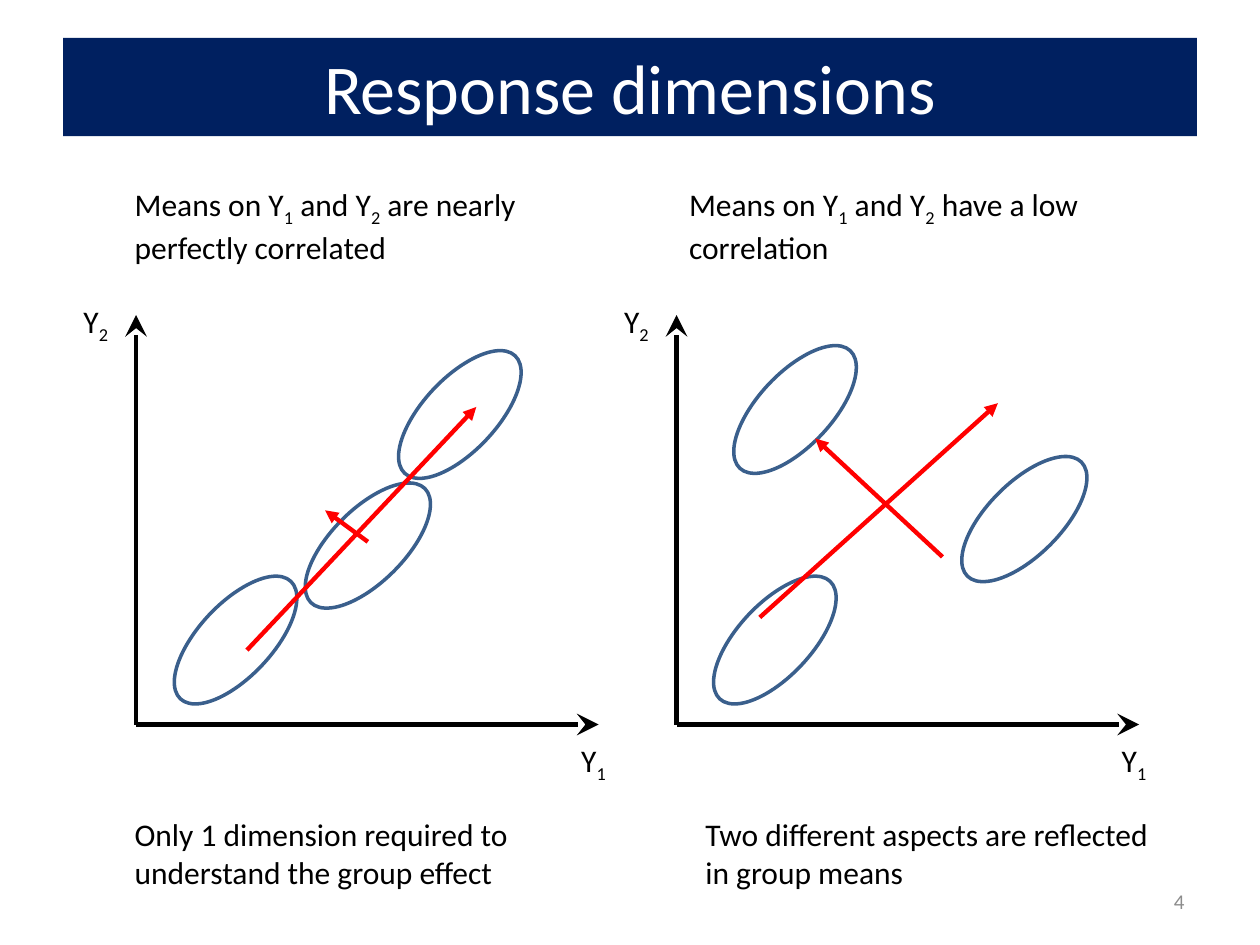
from dataclasses import dataclass

from lxml import etree
from pptx import Presentation
from pptx import util as u
from pptx.dml.color import RGBColor
from pptx.enum import shapes, text
from pptx.oxml.ns import qn

SCALE = 9144  # EMU per px, 100 px to the inch
FONT = "Calibri"
BLACK, RED, WHITE = "000000", "FF0000", "FFFFFF"
NAVY, BLUE, GREY = "002060", "3A5F8C", "8C8C8C"
ELLIPSE_SIZE = (128, 58)
AXIS_ORIGIN = (108, 575)
AXIS_ENDS = ((108, 250), (475, 575))
LEFT, CENTER, RIGHT = text.PP_ALIGN.LEFT, text.PP_ALIGN.CENTER, text.PP_ALIGN.RIGHT


@dataclass
class Ellipse:
    left: int
    top: int
    rotation: float


@dataclass
class Arrow:
    start: tuple[int, int]
    end: tuple[int, int]


@dataclass
class Plot:
    shift: int
    ellipses: list[Ellipse]
    arrows: list[Arrow]


@dataclass
class Caption:
    left: int
    top: int
    width: int
    words: str


PLOTS = [
    Plot(0,
         [Ellipse(123, 479, 313.2), Ellipse(228, 404, 315), Ellipse(301, 300, 313.2)],
         [Arrow((196, 516), (378, 323)), Arrow((292, 430), (258, 405))]),
    Plot(429,
         [Ellipse(551, 479, 313.2), Ellipse(749, 383, 315), Ellipse(567, 296, 313.2)],
         [Arrow((603, 490), (792, 320)), Arrow((748, 442), (647, 348))]),
]

CAPTIONS = [
    Caption(97, 142, 378, "Means on Y_1_ and Y_2_ are nearly perfectly correlated"),
    Caption(537, 142, 378, "Means on Y_1_ and Y_2_ have a low correlation"),
    Caption(97, 642, 395, "Only 1 dimension required to understand the group effect"),
    Caption(550, 642, 379, "Two different aspects are reflected in group means"),
]


def px(*lengths: int) -> list[u.Emu]:
    return [u.Emu(length * SCALE) for length in lengths]


def rgb(color: str) -> RGBColor:
    return RGBColor.from_string(color)


def write(para, words: str, size: int, color: str, align) -> None:
    """Fill a paragraph; parts between underscores become subscripts."""
    para.alignment = align
    for index, part in enumerate(words.split("_")):
        if not part:
            continue
        span = para.add_run()
        span.text = part
        span.font.size = u.Pt(size)
        span.font.name = FONT
        span.font.color.rgb = rgb(color)
        if index % 2:
            span.font._element.set("baseline", "-25000")


def add_text(parent, area: tuple[int, int, int, int], words: str, align=LEFT,
             size: int = 18, color: str = BLACK, wrap: bool = True):
    box = parent.add_textbox(*px(*area))
    box.text_frame.word_wrap = wrap
    write(box.text_frame.paragraphs[0], words, size, color, align)
    return box


def add_arrow(parent, arrow: Arrow, color: str, head: str, head_size: str) -> None:
    line = parent.add_connector(shapes.MSO_CONNECTOR.STRAIGHT,
                                *px(*arrow.start, *arrow.end))
    line.line.color.rgb = rgb(color)
    line.line.width = u.Pt(2.5)
    etree.SubElement(line.line._get_or_add_ln(), qn("a:tailEnd"),
                     type=head, w=head_size, len=head_size)
    etree.SubElement(line._element.spPr, qn("a:effectLst"))


def add_ellipse(parent, ellipse: Ellipse) -> None:
    shape = parent.add_shape(shapes.MSO_SHAPE.OVAL,
                             *px(ellipse.left, ellipse.top, *ELLIPSE_SIZE))
    shape.rotation = ellipse.rotation
    shape.shadow.inherit = False
    shape.fill.background()
    shape.line.color.rgb = rgb(BLUE)
    shape.line.width = u.Pt(2)


def add_plot(page, plot: Plot) -> None:
    parent = page.shapes.add_group_shape().shapes
    origin = (AXIS_ORIGIN[0] + plot.shift, AXIS_ORIGIN[1])
    for x, y in AXIS_ENDS:
        add_arrow(parent, Arrow(origin, (x + plot.shift, y)), BLACK, "stealth", "lg")
    for ellipse in plot.ellipses:
        add_ellipse(parent, ellipse)
    add_text(parent, (442 + plot.shift, 583, 58, 40), "Y_1_", CENTER)
    add_text(parent, (55 + plot.shift, 235, 42, 40), "Y_2_", CENTER, wrap=False)
    for arrow in plot.arrows:
        add_arrow(parent, arrow, RED, "triangle", "med")


def add_title(page, words: str) -> None:
    title = page.shapes.title
    title.left, title.top, title.width, title.height = px(50, 30, 900, 78)
    title.fill.solid()
    title.fill.fore_color.rgb = rgb(NAVY)
    title.text_frame.vertical_anchor = text.MSO_ANCHOR.MIDDLE
    write(title.text_frame.paragraphs[0], words, 40, WHITE, CENTER)


def main() -> None:
    deck = Presentation()
    deck.slide_width, deck.slide_height = px(1000, 750)
    page = deck.slides.add_slide(deck.slide_layouts[5])
    add_title(page, "Response dimensions")
    number = add_text(page.shapes, (717, 695, 233, 40), "4", RIGHT, 12, GREY)
    number.text_frame.vertical_anchor = text.MSO_ANCHOR.MIDDLE
    for plot in PLOTS:
        add_plot(page, plot)
    for caption in CAPTIONS:
        add_text(page.shapes, (caption.left, caption.top, caption.width, 71),
                 caption.words)
    deck.save("out.pptx")


if __name__ == "__main__":
    main()
